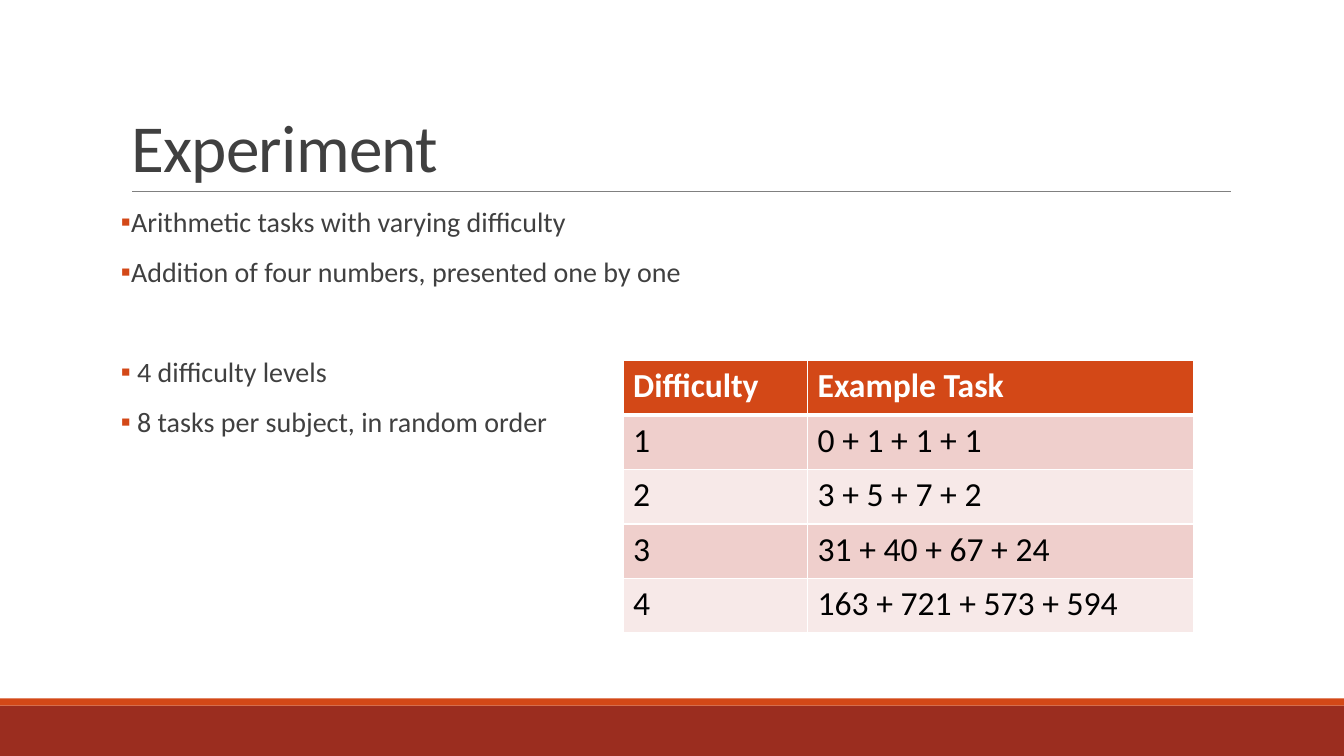
from lxml.etree import SubElement
from pptx import Presentation
from pptx.dml.color import RGBColor
from pptx.enum.shapes import MSO_CONNECTOR, MSO_SHAPE
from pptx.enum.text import MSO_ANCHOR, MSO_AUTO_SIZE, PP_ALIGN
from pptx.oxml import parse_xml
from pptx.oxml.ns import nsdecls, qn
from pptx.util import Inches, Pt

TITLE = "Experiment"
# text, indent in inches, space before in points
POINTS = [
    ("Arithmetic tasks with varying difficulty", 0.1, 12),
    ("Addition of four numbers, presented one by one", 0.1, 12),
    ("4 difficulty levels", 0.16, 48),
    ("8 tasks per subject, in random order", 0.16, 12),
]
TASKS = [
    ("Difficulty", "Example Task"),
    ("1", "0 + 1 + 1 + 1"),
    ("2", "3 + 5 + 7 + 2"),
    ("3", "31 + 40 + 67 + 24"),
    ("4", "163 + 721 + 573 + 594"),
]
COLS = (1.83, 3.83)
ROW = 0.54

FACE = "Calibri"
WHITE = RGBColor(0xFF, 0xFF, 0xFF)
BLACK = RGBColor(0, 0, 0)
DARK = RGBColor(0x40, 0x40, 0x40)
GRAY = RGBColor(0x80, 0x80, 0x80)
ORANGE = RGBColor(0xD3, 0x48, 0x17)
RED = RGBColor(0x9B, 0x2D, 0x1F)
BANDS = (RGBColor(0xF7, 0xE9, 0xE8), RGBColor(0xEF, 0xCF, 0xCC))

HEAD = {"name": FACE, "size": Pt(24), "bold": True}
CELL = {"name": FACE, "size": Pt(24), "bold": False}
BODY = {"name": FACE, "size": Pt(20)}
LARGE = {"name": FACE, "size": Pt(48)}


def put(item, values):
    """Set each attribute named in a dict."""
    for key, value in values.items():
        setattr(item, key, value)


def place(item, left, top, width, height):
    """Move and size a shape, in inches."""
    put(item, {"left": Inches(left), "top": Inches(top),
               "width": Inches(width), "height": Inches(height)})


def write(para, text, font, color):
    """Add one formatted run to a paragraph."""
    run = para.add_run()
    run.text = text
    put(run.font, font)
    run.font.color.rgb = color
    return run


def bullet(para, indent):
    """Give a paragraph a square orange bullet and a hanging indent."""
    props = para._p.get_or_add_pPr()
    props.set("marL", str(Inches(indent)))
    props.set("indent", str(-Inches(indent)))
    tint = SubElement(props, qn("a:buClr"))
    SubElement(tint, qn("a:srgbClr")).set("val", str(ORANGE))
    SubElement(props, qn("a:buFont")).set("typeface", FACE)
    SubElement(props, qn("a:buChar")).set("char", "▪")


def border(cell, row):
    """Draw white cell edges, thick below the header row."""
    thick = {0: "B", 1: "T"}.get(row)
    for spot, side in enumerate("LRTB"):
        width = Pt(3 if side == thick else 1)
        edge = parse_xml(
            f'<a:ln{side} {nsdecls("a")} w="{width}"><a:solidFill>'
            f'<a:srgbClr val="{WHITE}"/></a:solidFill></a:ln{side}>')
        cell._tc.get_or_add_tcPr().insert(spot, edge)


def add_bar(slide, top, height, color):
    """Add a full-width footer bar."""
    bar = slide.shapes.add_shape(
        MSO_SHAPE.RECTANGLE, 0, Inches(top), Inches(13.33), Inches(height))
    bar.shadow.inherit = False
    bar.fill.solid()
    bar.fill.fore_color.rgb = color
    bar.line.fill.background()


def add_rule(slide):
    """Add the thin rule below the title."""
    rule = slide.shapes.add_connector(
        MSO_CONNECTOR.STRAIGHT,
        Inches(1.31), Inches(1.9), Inches(12.21), Inches(1.9))
    rule.line.color.rgb = GRAY
    rule.line.width = Pt(0.5)
    SubElement(rule._element.spPr, qn("a:effectLst"))


def add_title(slide):
    """Fill the title placeholder."""
    title = slide.shapes.title
    place(title, 1.2, 0.31, 11, 1.59)
    put(title.text_frame, {"vertical_anchor": MSO_ANCHOR.BOTTOM,
                           "auto_size": MSO_AUTO_SIZE.NONE})
    para = title.text_frame.paragraphs[0]
    put(para, {"alignment": PP_ALIGN.LEFT, "line_spacing": 0.85})
    run = write(para, TITLE, LARGE, DARK)
    run.font._element.set("spc", "-50")


def add_points(slide):
    """Fill the body placeholder with the bullet list."""
    body = slide.placeholders[1]
    place(body, 1.2, 2.02, 11, 4.4)
    frame = body.text_frame
    put(frame, {"margin_left": 0, "margin_right": 0,
                "auto_size": MSO_AUTO_SIZE.NONE})
    for i, (text, indent, gap) in enumerate(POINTS):
        para = frame.add_paragraph() if i else frame.paragraphs[0]
        put(para, {"line_spacing": 0.9, "space_before": Pt(gap),
                   "space_after": Pt(2)})
        bullet(para, indent)
        write(para, text, BODY, DARK)


def add_tasks(slide):
    """Add the table of example tasks."""
    table = slide.shapes.add_table(
        len(TASKS), len(COLS), Inches(6.18), Inches(3.58),
        Inches(sum(COLS)), Inches(ROW * len(TASKS))).table
    for col, width in zip(table.columns, COLS):
        col.width = Inches(width)
    for r, texts in enumerate(TASKS):
        for c, text in enumerate(texts):
            cell = table.cell(r, c)
            cell.fill.solid()
            cell.fill.fore_color.rgb = BANDS[r % 2] if r else ORANGE
            border(cell, r)
            write(cell.text_frame.paragraphs[0], text,
                  CELL if r else HEAD, BLACK if r else WHITE)


deck = Presentation()
put(deck, {"slide_width": Inches(13.33), "slide_height": Inches(7.5)})
page = deck.slides.add_slide(deck.slide_layouts[1])
add_bar(page, 7, 0.5, RED)
add_bar(page, 6.93, 0.07, ORANGE)
add_rule(page)
add_title(page)
add_points(page)
add_tasks(page)
deck.save("out.pptx")
